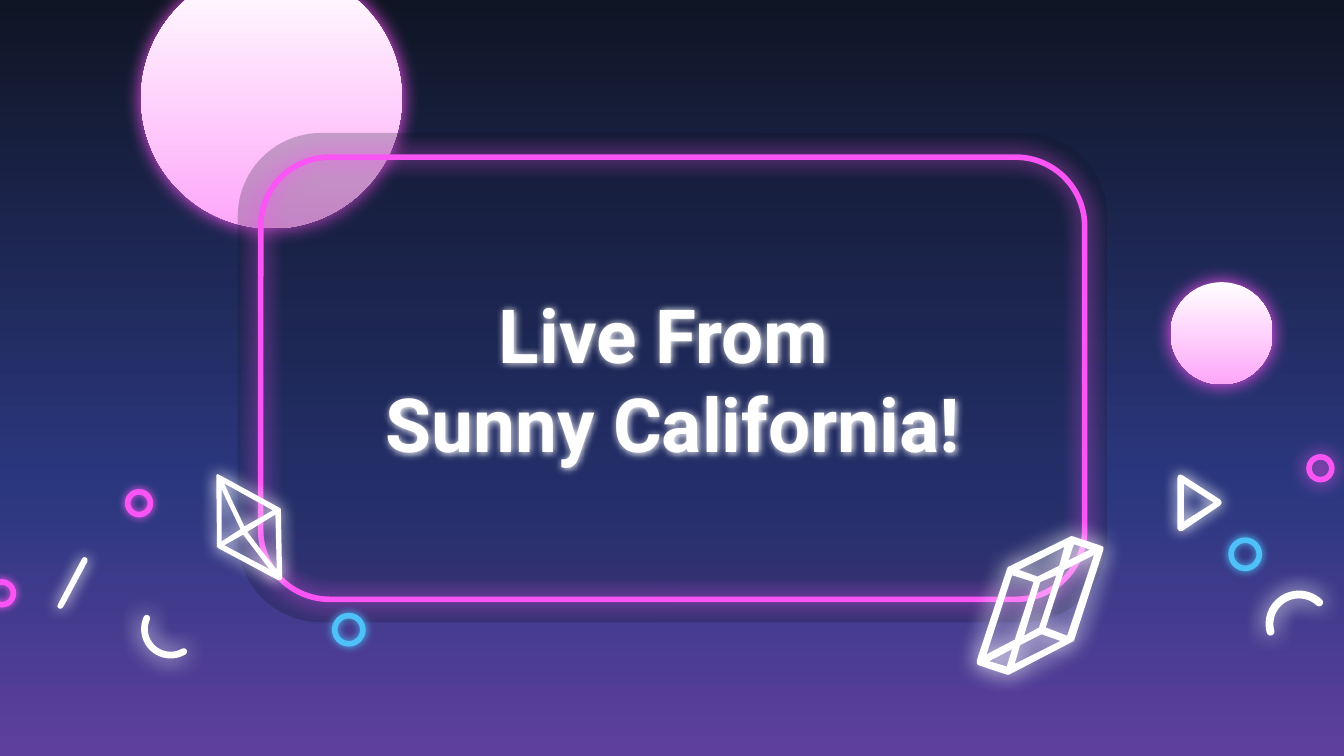
"""Build a neon title slide with glowing shapes around a rounded frame."""
from dataclasses import dataclass
from math import cos, radians, sin
from typing import Any

from pptx import Presentation as Deck
from pptx.dml.color import RGBColor as Color
from pptx.enum.shapes import MSO_SHAPE as Kind
from pptx.enum.text import MSO_ANCHOR as Anchor, PP_ALIGN as Align
from pptx.oxml.ns import qn
from pptx.oxml.xmlchemy import OxmlElement as Node
from pptx.util import Pt

WHITE, PINK, BLUE, NIGHT = "FFFFFF", "FB54F4", "4FC1F9", "0F1524"
Point = tuple[float, float]
Loop = list[Point]


@dataclass
class Moon:
    left: float
    top: float
    size: float


@dataclass
class Ring:
    left: float
    top: float
    size: float
    hue: str
    blur: float = 4.5


@dataclass
class Glyph:
    loops: list[Loop]
    blur: float
    turn: float = 0
    pivot: Point = (0, 0)


def tint(code: str) -> Color:
    return Color.from_string(code)


def add(host: Any, tag: str, **traits: Any) -> Any:
    node = Node(tag)
    for key, value in traits.items():
        node.set(key, str(value))
    host.append(node)
    return node


def glow(shape: Any, hue: str, blur: float) -> None:
    shape.shadow.inherit = False
    host = shape.element.spPr.find(qn("a:effectLst"))
    cast = add(host, "a:outerShdw", blurRad=int(Pt(blur)), dist=0, dir=0, algn="ctr", rotWithShape=0)
    add(cast, "a:srgbClr", val=hue)


def fade(fill: Any, root: Any, stops: dict[int, str]) -> None:
    fill.gradient()
    fill.gradient_angle = 270
    host = root.find(".//" + qn("a:gsLst"))
    for old in list(host):
        host.remove(old)
    for place, hue in stops.items():
        add(add(host, "a:gs", pos=place * 1000), "a:srgbClr", val=hue)


def stroke(shape: Any, hue: str) -> None:
    shape.fill.background()
    shape.line.color.rgb = tint(hue)
    shape.line.width = Pt(3)


def place(shapes: Any, kind: Kind, *box: float) -> Any:
    shape = shapes.add_shape(kind, *(Pt(side) for side in box))
    shape.shadow.inherit = False
    shape.line.fill.background()
    return shape


def draw_moon(shapes: Any, moon: Moon) -> None:
    shape = place(shapes, Kind.OVAL, moon.left, moon.top, moon.size, moon.size)
    fade(shape.fill, shape.element, {0: WHITE, 100: "FDA7F9"})
    glow(shape, PINK, 10.1)


def draw_ring(shapes: Any, ring: Ring) -> None:
    shape = place(shapes, Kind.OVAL, ring.left, ring.top, ring.size, ring.size)
    stroke(shape, ring.hue)
    glow(shape, ring.hue, ring.blur)


def spin(point: Point, pivot: Point, turn: float) -> Point:
    angle = radians(turn)
    x, y = point[0] - pivot[0], point[1] - pivot[1]
    return (pivot[0] + x * cos(angle) - y * sin(angle),
            pivot[1] + x * sin(angle) + y * cos(angle))


def draw_glyph(shapes: Any, glyph: Glyph) -> None:
    pen = None
    for loop in glyph.loops:
        dots = [tuple(Pt(v) for v in spin(dot, glyph.pivot, -glyph.turn)) for dot in loop]
        if pen is None:
            pen = shapes.build_freeform(*dots[0])
        else:
            pen.move_to(*dots[0])
        pen.add_line_segments(dots[1:], close=True)
    shape = pen.convert_to_shape()
    shape.rotation = glyph.turn
    shape.fill.solid()
    shape.fill.fore_color.rgb = tint(WHITE)
    shape.line.fill.background()
    glow(shape, WHITE, glyph.blur)


def sweep(mid: Point, reach: float, start: float, end: float, steps: int) -> Loop:
    angles = [radians(start + (end - start) * i / steps) for i in range(steps + 1)]
    return [(mid[0] + reach * cos(a), mid[1] + reach * sin(a)) for a in angles]


def curve(mid: Point, reach: float, half: float, start: float, end: float) -> Loop:
    head, tail = (sweep(mid, reach, a, a, 1)[0] for a in (start, end))
    return (sweep(mid, reach + half, start, end, 24)
            + sweep(tail, half, end, end + 180, 8)
            + sweep(mid, reach - half, end, start, 24)
            + sweep(head, half, start + 180, start + 360, 8))


MOONS = [Moon(75.6, -17.3, 139.7), Moon(627.1, 151.2, 54.7)]
RINGS = [Ring(68.4, 263.5, 12.2, PINK), Ring(701.3, 244.8, 12.2, PINK, 10.1),
         Ring(659.5, 289.4, 15.1, BLUE), Ring(-5, 311.8, 12.2, PINK)]
LAST = Ring(179.3, 329.8, 15.1, BLUE)
BITS = [
    Glyph([curve((91.4, 337), 14, 1.8, 60, 204)], 12.4),
    Glyph([[(46.1, 298.8), (44.9, 298.6), (43.9, 299.5), (31, 324), (30.7, 325.2), (31.7, 326.2),
            (32.8, 326.2), (33.8, 325.4), (46.8, 301), (46.8, 299.5)]], 7.9, 27.5, (38.7, 312.4)),
    Glyph([[(634.3, 259.2), (650.2, 269.3), (634.3, 279.4)],
           [(632.2, 254.2), (631.2, 254.8), (630.7, 256.3), (630.7, 283), (631.4, 284.2),
            (632.2, 284.6), (633.6, 284.4), (653.8, 270.7), (654.5, 269.3), (653.8, 267.8),
            (633.6, 254.7)]], 7.9),
    Glyph([curve((695.5, 335.5), 15.8, 2.1, 165, 313)], 12.4, 103.2, (692.3, 329.8)),
]
CRYSTAL = Glyph([
    [(573.8, 287.3), (540, 303.8), (539.3, 305.3), (523.4, 353.5), (523.4, 355.7), (524.2, 356.4),
     (539.3, 361.4), (540.7, 361.4), (573.8, 344.2), (575.3, 343.4), (591.1, 294.5), (591.1, 293),
     (589.7, 292.3), (574.6, 287.3)],
    [(583.9, 294.5), (572.4, 300.2), (575.3, 291.6)],
    [(570.2, 293), (567.4, 303.1), (555.8, 308.9), (545.8, 305.3)],
    [(586.1, 297.4), (571.7, 340.6), (560.2, 336.2), (570.2, 305.3)],
    [(565.9, 308.2), (556.6, 336.2), (548.6, 340.6), (557.3, 311.8)],
    [(553.7, 311.8), (543.6, 342.7), (528.5, 350.6), (542.2, 308.2)],
    [(568.1, 343.4), (543.6, 355.7), (546.5, 345.6), (558, 339.8)],
    [(542.2, 347.8), (539.3, 357.1), (529.9, 354.2)],
], 12.4, 18.1, (557.3, 324.4))
GEM = Glyph([
    [(115.9, 254.9), (116.3, 293), (116.8, 293.8), (149, 311), (150.5, 311), (151.2, 309.6),
     (150.5, 272.9), (149.8, 272.2), (118.1, 254.9), (116.6, 254.2)],
    [(120.2, 259.2), (146.2, 273.6), (131, 282.2), (122.4, 264.2)],
    [(118.8, 262.1), (121, 267.1), (128.9, 283.7), (118.8, 290.2)],
    [(130.3, 286.6), (141.8, 301.7), (144.7, 305.3), (120.2, 292.3)],
    [(147.6, 275.8), (148.3, 305.3), (144.7, 301), (132.5, 285.1)],
], 9, 328.9, (133.6, 282.6))


def draw_frame(shapes: Any) -> None:
    group = shapes.add_group_shape()
    pane = place(group.shapes, Kind.ROUNDED_RECTANGLE, 127.4, 71.3, 465.8, 262.1)
    pane.adjustments[0] = 0.17
    pane.fill.solid()
    pane.fill.fore_color.rgb = tint(NIGHT)
    add(pane.element.spPr.find(".//" + qn("a:srgbClr")), "a:alpha", val=24000)
    edge = place(group.shapes, Kind.ROUNDED_RECTANGLE, 139.7, 84.2, 441.4, 236.9)
    edge.adjustments[0] = 0.156
    stroke(edge, PINK)
    glow(edge, PINK, 11.2)


def write_title(shapes: Any) -> None:
    title = shapes.title
    shapes.element.append(title.element)
    title.left, title.top, title.width, title.height = (Pt(v) for v in (139.7, 146.9, 441.4, 111.6))
    frame = title.text_frame
    frame.word_wrap = True
    frame.vertical_anchor = Anchor.MIDDLE
    frame.margin_left = frame.margin_right = frame.margin_top = frame.margin_bottom = Pt(7.2)
    line = frame.paragraphs[0]
    line.alignment = Align.CENTER
    for text in ("Live From ", "Sunny California!"):
        if line.runs:
            line.add_line_break()
        run = line.add_run()
        run.text = text
        run.font.name, run.font.size, run.font.bold = "Roboto", Pt(40), True
        run.font.color.rgb = tint(WHITE)
    glow(title, WHITE, 4.5)


def main() -> None:
    deck = Deck()
    deck.slide_width, deck.slide_height = Pt(720), Pt(405)
    slide = deck.slides.add_slide(deck.slide_layouts[5])
    fade(slide.background.fill, slide.element, {0: NIGHT, 65: "2B3880", 100: "5F3F9E"})
    shapes = slide.shapes
    draw_moon(shapes, MOONS[0])
    for bit in BITS:
        draw_glyph(shapes, bit)
    for ring in RINGS:
        draw_ring(shapes, ring)
    draw_moon(shapes, MOONS[1])
    draw_frame(shapes)
    write_title(shapes)
    for glyph in (CRYSTAL, GEM):
        draw_glyph(shapes, glyph)
    draw_ring(shapes, LAST)
    deck.save("out.pptx")


if __name__ == "__main__":
    main()
